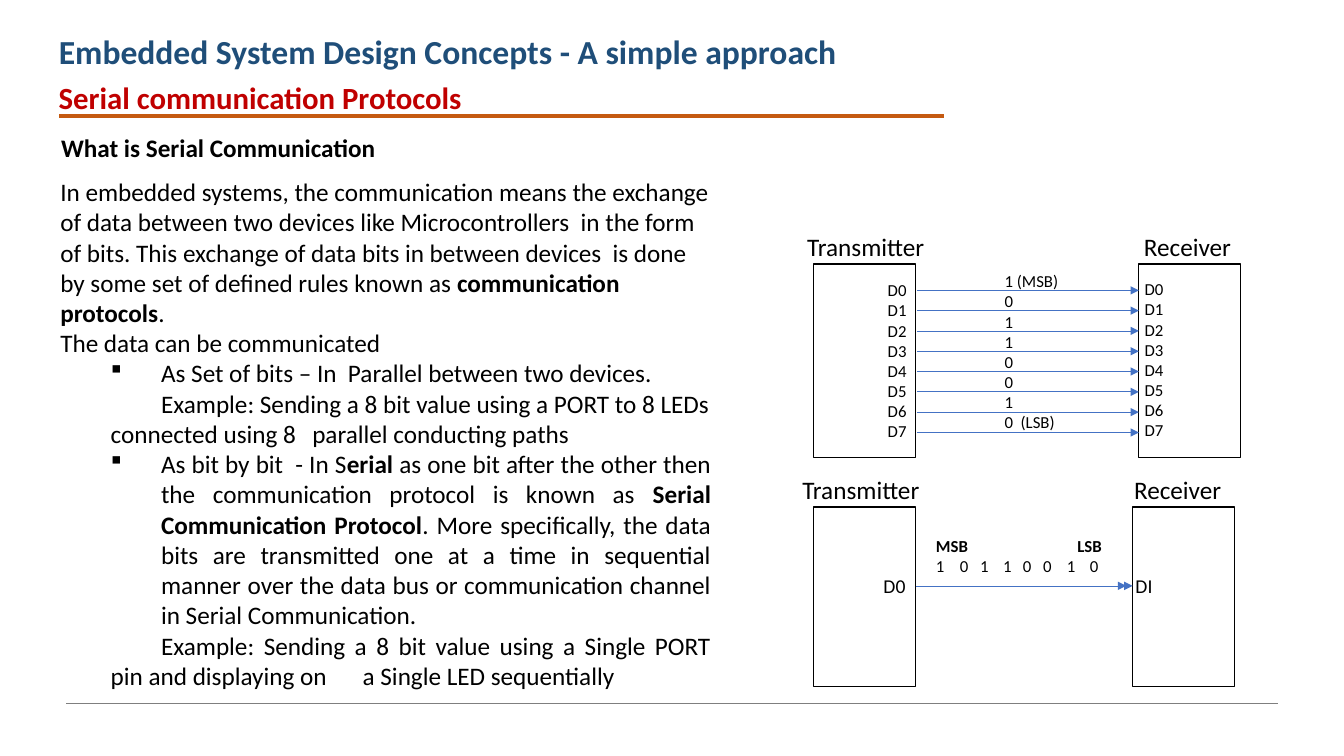
from lxml import etree
from pptx import Presentation
from pptx.dml.color import RGBColor
from pptx.enum.shapes import MSO_CONNECTOR, MSO_SHAPE
from pptx.enum.text import MSO_ANCHOR, MSO_AUTO_SIZE, PP_ALIGN
from pptx.oxml.ns import qn
from pptx.util import Pt

STRAIGHT = MSO_CONNECTOR.STRAIGHT
RECTANGLE = MSO_SHAPE.RECTANGLE
LEFT, JUSTIFY = PP_ALIGN.LEFT, PP_ALIGN.JUSTIFY
COLORS = {"text": "000000", "title": "1F4E79", "subtitle": "C00000",
          "rule": "C55A11", "footer": "7F7F7F", "arrow": "4472C4", "box": "FFFFFF"}


def write_text(shape, left, top, width, height, lines, size, color="text", bold=False):
    """Place a text shape and fill it; *stars* in a line switch bold on and off."""
    shape.left, shape.top, shape.width, shape.height = map(Pt, (left, top, width, height))
    frame = shape.text_frame
    frame.word_wrap = True
    frame.auto_size = MSO_AUTO_SIZE.NONE
    frame.vertical_anchor = MSO_ANCHOR.TOP
    for index, line in enumerate(lines):
        paragraph = frame.paragraphs[0] if index == 0 else frame.add_paragraph()
        paragraph.alignment = LEFT
        for part, words in enumerate(line.split("*")):
            run = paragraph.add_run()
            run.text = words
            run.font.name = "Calibri"
            run.font.size = Pt(size)
            run.font.bold = bold or part % 2 == 1
            run.font.color.rgb = RGBColor.from_string(COLORS[color])
    return frame


def add_line(left, right, y, color, weight, arrow=False):
    line = slide.shapes.add_connector(STRAIGHT, Pt(left), Pt(y), Pt(right), Pt(y))
    line.line.color.rgb = RGBColor.from_string(COLORS[color])
    line.line.width = Pt(weight)
    if arrow:
        etree.SubElement(line.line._get_or_add_ln(), qn("a:tailEnd"), type="triangle")
    etree.SubElement(line._element.spPr, qn("a:effectLst"))


presentation = Presentation()
presentation.slide_width, presentation.slide_height = Pt(960), Pt(540)
slide = presentation.slides.add_slide(presentation.slide_layouts[5])

# Headings and rules
write_text(slide.shapes.title, 34.8, 18.5, 590, 36.5,
           ["Embedded System Design Concepts - A simple approach"], 24, "title", True)
headings = [
    ("Serial communication Protocols", 34.8, 52.5, 22, "subtitle"),
    ("What is Serial Communication", 36.5, 90.7, 18, "text"),
]
for heading, left, top, size, color in headings:
    write_text(slide.shapes.add_textbox(0, 0, 0, 0), left, top, 610, 34,
               [heading], size, color, True)
add_line(42.5, 674, 83, "rule", 3)
add_line(47.5, 913, 502.6, "footer", 0.75)

# Explanation
explanation = [
    "In embedded systems, the communication means the exchange of data between two devices "
    "like Microcontrollers  in the form of bits. This exchange of data bits in between "
    "devices  is done by some set of defined rules known as *communication protocols*.",
    "The data can be communicated",
    "As Set of bits – In  Parallel between two devices.",
    "\tExample: Sending a 8 bit value using a PORT to 8 LEDs connected using 8 "
    "\tparallel conducting paths",
    "As bit by bit  - In S*erial* as one bit after the other then the communication protocol "
    "is known as *Serial Communication Protocol*. More specifically, the data bits are "
    "transmitted one at a time in sequential manner over the data bus or communication "
    "channel in Serial Communication.",
    "\tExample: Sending a 8 bit value using a Single PORT pin and displaying on "
    "\ta Single LED sequentially",
]
body = write_text(slide.shapes.add_textbox(0, 0, 0, 0), 36, 122.4, 479, 399.6, explanation, 18)
for index, paragraph in enumerate(body.paragraphs[2:]):
    properties = paragraph._p.get_or_add_pPr()
    bulleted = index % 2 == 0
    properties.set("marL", str(Pt(72 if bulleted else 36)))
    properties.set("indent", str(Pt(-36 if bulleted else 0)))
    if bulleted:
        etree.SubElement(properties, qn("a:buFont"), typeface="Wingdings")
        etree.SubElement(properties, qn("a:buChar"), char="§")
    paragraph.alignment = JUSTIFY if index >= 2 else LEFT

# Device boxes
devices = [
    ("Transmitter", 581, 188.6, 138.3, 569.5, 162),
    ("Receiver", 813, 188.6, 138.3, 810, 162),
    ("Transmitter", 581, 362.2, 128.2, 566, 335.5),
    ("Receiver", 809, 362.2, 128.2, 803, 335.5),
]
for name, left, top, height, label_left, label_top in devices:
    device = slide.shapes.add_shape(RECTANGLE, Pt(left), Pt(top), Pt(73), Pt(height))
    device.shadow.inherit = False
    device.fill.solid()
    device.fill.fore_color.rgb = RGBColor.from_string(COLORS["box"])
    device.line.color.rgb = RGBColor.from_string(COLORS["text"])
    device.line.width = Pt(1)
    write_text(slide.shapes.add_textbox(0, 0, 0, 0), label_left, label_top, 103, 29, [name], 18)

# Parallel transfer
for bit in range(8):
    add_line(655, 813.5, 207.4 + 14.5 * bit, "arrow", 0.5, arrow=True)
pins = [f"D{bit}" for bit in range(8)]
bits = ["1 (MSB)", "0", "1", "1", "0", "0", "1", "0  (LSB)"]
for lines, left, top, width in [(pins, 627, 196.5, 37), (pins, 810.5, 195.8, 37),
                                (bits, 710.5, 190, 61)]:
    write_text(slide.shapes.add_textbox(0, 0, 0, 0), left, top, width, 124, lines, 12)

# Serial transfer
for left, right in [(654, 804.5), (734, 809)]:
    add_line(left, right, 418.5, "arrow", 0.5, arrow=True)
for pin, left in [("D0", 624), ("DI", 804)]:
    write_text(slide.shapes.add_textbox(0, 0, 0, 0), left, 406.2, 37, 24.5, [pin], 14)
stream = write_text(slide.shapes.add_textbox(0, 0, 0, 0), 661.5, 378.8, 141, 36,
                    ["*MSB\tLSB*", "1\t0\t1\t1\t0\t0\t1\t0"], 12)
stops = [[101], [17, 31.5, 48, 62, 76.5, 93.5, 110]]
for paragraph, positions in zip(stream.paragraphs, stops):
    tabs = etree.SubElement(paragraph._p.get_or_add_pPr(), qn("a:tabLst"))
    for position in positions:
        etree.SubElement(tabs, qn("a:tab"), pos=str(Pt(position)), algn="l")

presentation.save("out.pptx")
